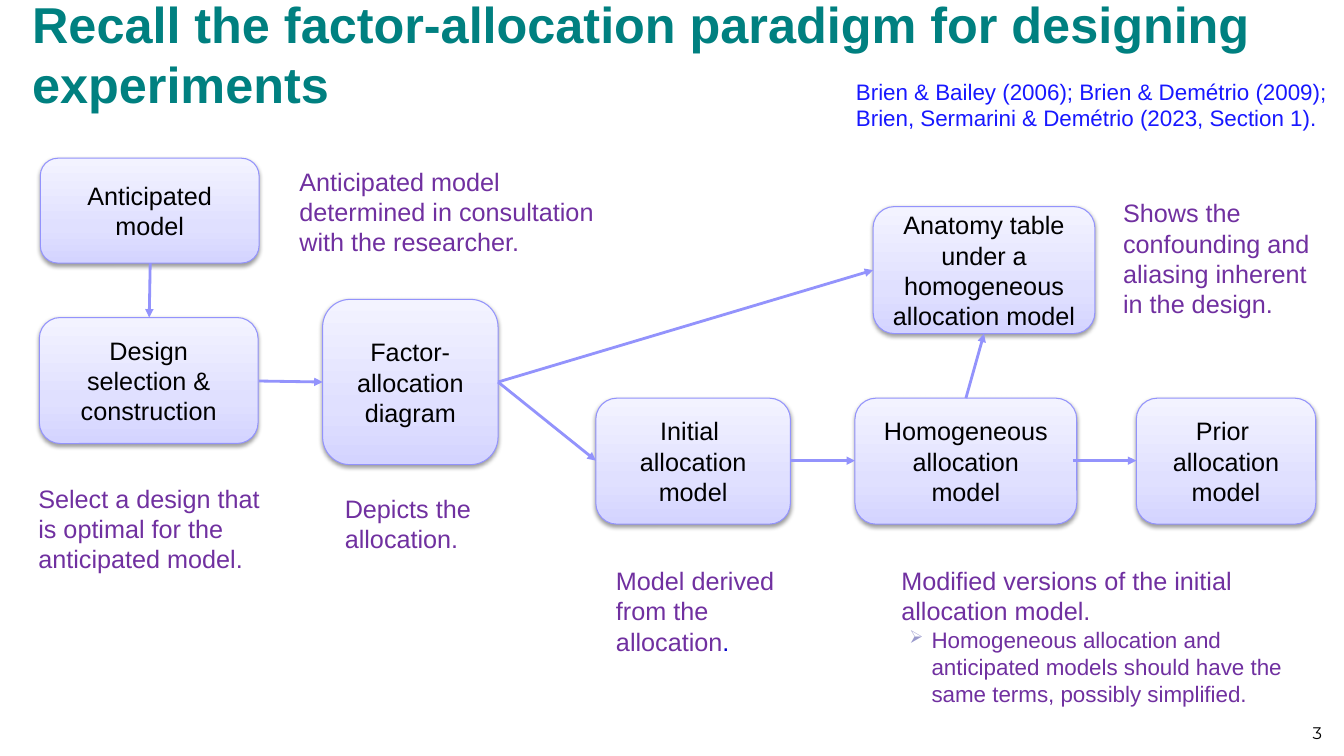
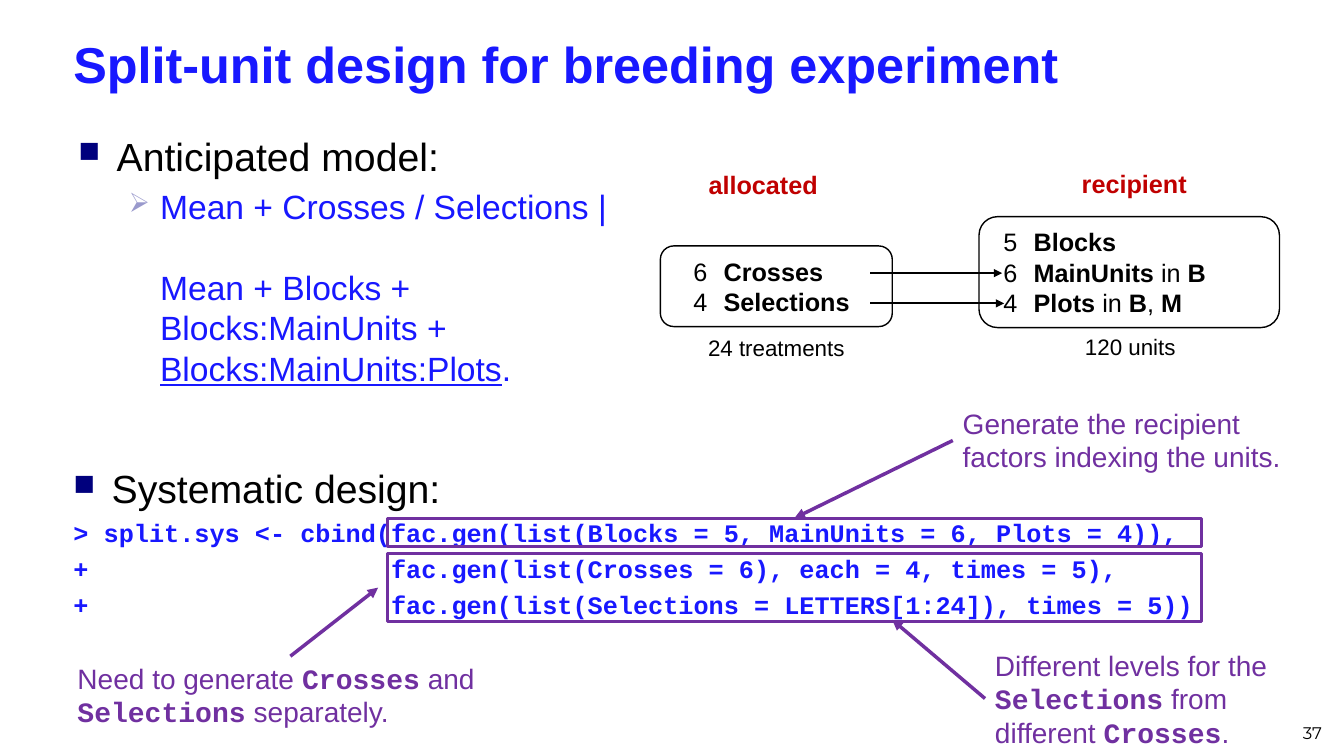
from dataclasses import dataclass

from pptx import Presentation
from pptx.dml.color import RGBColor
from pptx.enum.shapes import MSO_CONNECTOR as CONNECTOR, MSO_SHAPE as SHAPE
from pptx.enum.text import MSO_ANCHOR as ANCHOR, PP_ALIGN as ALIGN
from pptx.oxml import parse_xml
from pptx.oxml.ns import nsdecls, qn
from pptx.util import Pt

PX = 9144  # 100 px to the inch


@dataclass(frozen=True)
class Theme:
    black: str = "000000"
    teal: str = "008080"
    blue: str = "1818FF"
    navy: str = "0000CC"
    purple: str = "7030A0"
    red: str = "C00000"
    lilac: str = "9393FC"
    box_stops: tuple = ((0, "D4D4FF"), (35, "E0E0FF"), (100, "F3F3FF"))
    square: tuple = ("■", "00007D", 75)
    arrowhead: tuple = ("➢", "9999CC", 80)
    font: str = "Arial"
    code_font: str = "Courier New"
    number_font: str = "Montserrat"
    title: int = 36
    heading: int = 28
    model: int = 24
    callout: int = 20
    body: int = 18
    small: int = 16
    number: int = 12


theme = Theme()


def write(shape, paragraphs, size, color, align=ALIGN.LEFT, anchor=ANCHOR.TOP,
          margins=(10, 5), wrap=True, **style):
    """A paragraph is a string, or (runs, options); a run is a string or (text, options)."""
    frame = shape.text_frame
    frame.word_wrap, frame.vertical_anchor = wrap, anchor
    frame.margin_left = frame.margin_right = margins[0] * PX
    frame.margin_top = frame.margin_bottom = margins[1] * PX
    for index, item in enumerate(paragraphs):
        runs, options = ([item], {}) if isinstance(item, str) else item
        options = {"size": size, "color": color, **style, **options}
        paragraph = frame.add_paragraph() if index else frame.paragraphs[0]
        paragraph.alignment = align
        if "before" in options:
            paragraph.space_before = Pt(options["before"])
        properties = paragraph._p.get_or_add_pPr()
        left, first = options.get("indent", (0, 0))
        properties.set("marL", str(left * PX))
        properties.set("indent", str(first * PX))
        if "bullet" in options:
            mark, mark_color, percent = options["bullet"]
            for xml in (f'<a:buClr {nsdecls("a")}><a:srgbClr val="{mark_color}"/></a:buClr>',
                        f'<a:buSzPct {nsdecls("a")} val="{percent * 1000}"/>',
                        f'<a:buChar {nsdecls("a")} char="{mark}"/>'):
                properties.append(parse_xml(xml))
        for part in runs:
            text, extra = (part, {}) if isinstance(part, str) else part
            look = {**options, **extra}
            run = paragraph.add_run()
            run.text = text
            run.font.name = look.get("font", theme.font)
            run.font.size = Pt(look["size"])
            run.font.bold = look.get("bold", False)
            run.font.underline = look.get("underline", False)
            run.font.color.rgb = RGBColor.from_string(look["color"])


def add_arrow(slide, points, color, width):
    line = slide.shapes.add_connector(CONNECTOR.STRAIGHT, *[value * PX for value in points])
    line.line.color.rgb = RGBColor.from_string(color)
    line.line.width = Pt(width)
    line.line._get_or_add_ln().append(parse_xml(f'<a:tailEnd {nsdecls("a")} type="triangle"/>'))
    line._element.spPr.append(parse_xml(f'<a:effectLst {nsdecls("a")}/>'))


presentation = Presentation()
presentation.slide_width, presentation.slide_height = 1333 * PX, 750 * PX

# Titles and slide numbers
slides = []
for title, place, color, number in (
    ("Recall the factor-allocation paradigm for designing experiments",
     (22, 5, 1260, 96), theme.teal, "3"),
    ("Split-unit design for breeding experiment", (63, 23, 1260, 79), theme.blue, "37"),
):
    slide = presentation.slides.add_slide(presentation.slide_layouts[6])
    slides.append(slide)
    write(slide.shapes.add_textbox(*[value * PX for value in place]), [title],
          theme.title, color, anchor=ANCHOR.MIDDLE, bold=True)
    write(slide.shapes.add_textbox(1010 * PX, 692 * PX, 311 * PX, 50 * PX), [number],
          theme.number, theme.black, ALIGN.RIGHT, ANCHOR.BOTTOM, font=theme.number_font)
paradigm, split_unit = slides

# Paradigm: process boxes
stops = "".join(f'<a:gs pos="{position * 1000}"><a:srgbClr val="{color}"/></a:gs>'
                for position, color in theme.box_stops)
gradient = (f'<a:gradFill {nsdecls("a")} rotWithShape="1"><a:gsLst>{stops}</a:gsLst>'
            '<a:lin ang="16200000" scaled="0"/></a:gradFill>')
shadow = (f'<a:outerShdw {nsdecls("a")} blurRad="39370" dist="20320" dir="5400000" '
          'rotWithShape="0"><a:srgbClr val="000000"><a:alpha val="38000"/></a:srgbClr>'
          '</a:outerShdw>')
for place, lines in (
    ((320, 297, 174, 164), ["Factor-allocation diagram"]),
    ((866, 205, 220, 126), ["Anatomy table under a", "homogeneous allocation model"]),
    ((591, 395, 193, 125), ["Initial ", "allocation model"]),
    ((848, 395, 220, 125), ["Homogeneous allocation", "model"]),
    ((1127, 395, 178, 125), ["Prior ", "allocation model"]),
    ((40, 157, 217, 104), ["Anticipated", "model"]),
    ((39, 315, 217, 125), ["Design selection &", "construction"]),
):
    box = paradigm.shapes.add_shape(SHAPE.ROUNDED_RECTANGLE, *[value * PX for value in place])
    box.line.color.rgb = RGBColor.from_string(theme.lilac)
    box.line.width = Pt(0.75)
    box.shadow.inherit = False
    outline = box._element.spPr
    outline.find(qn("a:prstGeom")).addnext(parse_xml(gradient))
    outline.find(qn("a:effectLst")).append(parse_xml(shadow))
    write(box, lines, theme.body, theme.black, ALIGN.CENTER, ANCHOR.MIDDLE, (13, 7))

# Paradigm: flow arrows
for points in (
    (494, 379, 866, 268), (494, 379, 591, 457), (785, 457, 848, 457),
    (1064, 457, 1127, 457), (149, 261, 148, 315), (257, 378, 320, 379),
    (958, 395, 976, 331),
):
    add_arrow(paradigm, points, theme.lilac, 2)

# Paradigm: notes beside the boxes
for place, paragraphs in (
    ((284, 158, 327, 97), ["Anticipated model determined in consultation with the researcher."]),
    ((25, 472, 248, 118), ["Select a design that is optimal for the anticipated model."]),
    ((329, 482, 156, 75), ["Depicts the allocation."]),
    ((1101, 189, 220, 139), ["Shows the confounding and aliasing inherent in the design."]),
    ((598, 554, 193, 103),
     [(["Model derived from the allocation", (".", {"color": theme.navy})], {})]),
    ((881, 554, 434, 158),
     ["Modified versions of the initial allocation model.",
      (["Homogeneous allocation and anticipated models should have the same terms, "
        "possibly simplified."],
       {"size": theme.small, "indent": (30, -22), "bullet": theme.arrowhead})]),
):
    write(paradigm.shapes.add_textbox(*[value * PX for value in place]), paragraphs,
          theme.body, theme.purple, margins=(13, 7))

# Paradigm: citation
write(paradigm.shapes.add_textbox(836 * PX, 70 * PX, 503 * PX, 68 * PX),
      ["Brien & Bailey (2006); Brien & Demétrio (2009);",
       "Brien, Sermarini & Demétrio (2023, Section 1)."],
      theme.small, theme.blue, margins=(13, 7))

# Split-unit: systematic design and its code
code = {"size": theme.body, "font": theme.code_font, "color": theme.blue,
        "bold": True, "before": 4}
code_lines = (
    "> split.sys <- cbind(fac.gen(list(Blocks = 5, MainUnits = 6, Plots = 4)),",
    "+                    fac.gen(list(Crosses = 6), each = 4, times = 5),",
    "+                    fac.gen(list(Selections = LETTERS[1:24]), times = 5))",
)
heading = {"indent": (38, -38), "bullet": theme.square}
write(split_unit.shapes.add_textbox(63 * PX, 456 * PX, 1260 * PX, 174 * PX),
      [(["Systematic design:"], heading)] + [([line], code) for line in code_lines],
      theme.heading, theme.black)

# Split-unit: anticipated model
model = {"size": theme.model, "color": theme.blue}
write(split_unit.shapes.add_textbox(68 * PX, 126 * PX, 546 * PX, 226 * PX),
      [(["Anticipated model:"], heading),
       (["Mean + Crosses / Selections |"],
        {**model, "indent": (81, -31), "bullet": theme.arrowhead, "before": 5}),
       (["Mean + Blocks + Blocks:MainUnits + ",
         ("Blocks:MainUnits:Plots", {"underline": True}), "."],
        {**model, "indent": (81, 0), "before": 29})],
      theme.heading, theme.black)

# Split-unit: factor-allocation diagram
bold = {"bold": True}
for place, indent, factors in (
    ((655, 244, 230, 80), (49, -30),
     [["6\t", ("Crosses", bold)], ["4\t", ("Selections", bold)]]),
    ((971, 215, 298, 110), (39, -30),
     [["5\t", ("Blocks", bold)],
      ["6\t", ("MainUnits", bold), " in ", ("B", bold)],
      ["4\t", ("Plots", bold), " in ", ("B", bold), ", ", ("M", bold)]]),
):
    panel = split_unit.shapes.add_shape(SHAPE.ROUNDED_RECTANGLE,
                                        *[value * PX for value in place])
    panel.shadow.inherit = False
    panel.fill.background()
    panel.line.color.rgb = RGBColor.from_string(theme.black)
    panel.line.width = Pt(1)
    write(panel, [(runs, {"indent": indent}) for runs in factors],
          theme.body, theme.black, anchor=ANCHOR.MIDDLE, wrap=False)
for place, label, size, color, is_bold in (
    ((684, 163, 146, 40), "allocated", theme.body, theme.red, True),
    ((1061, 162, 128, 40), "recipient", theme.body, theme.red, True),
    ((642, 327, 256, 37), "24 treatments", theme.small, theme.black, False),
    ((992, 326, 258, 37), "120 units", theme.small, theme.black, False),
):
    write(split_unit.shapes.add_textbox(*[value * PX for value in place]), [label],
          size, color, ALIGN.CENTER, bold=is_bold)
for points in ((863, 271, 994, 271), (863, 301, 996, 301)):
    add_arrow(split_unit, points, theme.black, 1.5)

# Split-unit: frames around the code
for top, height in ((514, 28), (549, 68)):
    frame = split_unit.shapes.add_shape(SHAPE.RECTANGLE, 384 * PX, top * PX,
                                        808 * PX, height * PX)
    frame.shadow.inherit = False
    frame.fill.background()
    frame.line.color.rgb = RGBColor.from_string(theme.purple)
    frame.line.width = Pt(2)

# Split-unit: callouts with their arrows
factor = {"font": theme.code_font, "bold": True}
for place, runs, points in (
    ((945, 398, 349, 77), ["Generate the recipient factors indexing the units."],
     (945, 437, 788, 514)),
    ((977, 638, 329, 111),
     ["Different levels for the ", ("Selections", factor), " from different ",
      ("Crosses", factor), "."],
     (977, 693, 885, 615)),
    ((67, 651, 441, 77),
     ["Need to generate ", ("Crosses", factor), " and ", ("Selections", factor),
      " separately."],
     (288, 651, 375, 583)),
):
    write(split_unit.shapes.add_textbox(*[value * PX for value in place]), [(runs, {})],
          theme.callout, theme.purple)
    add_arrow(split_unit, points, theme.purple, 2.5)

presentation.save("out.pptx")
